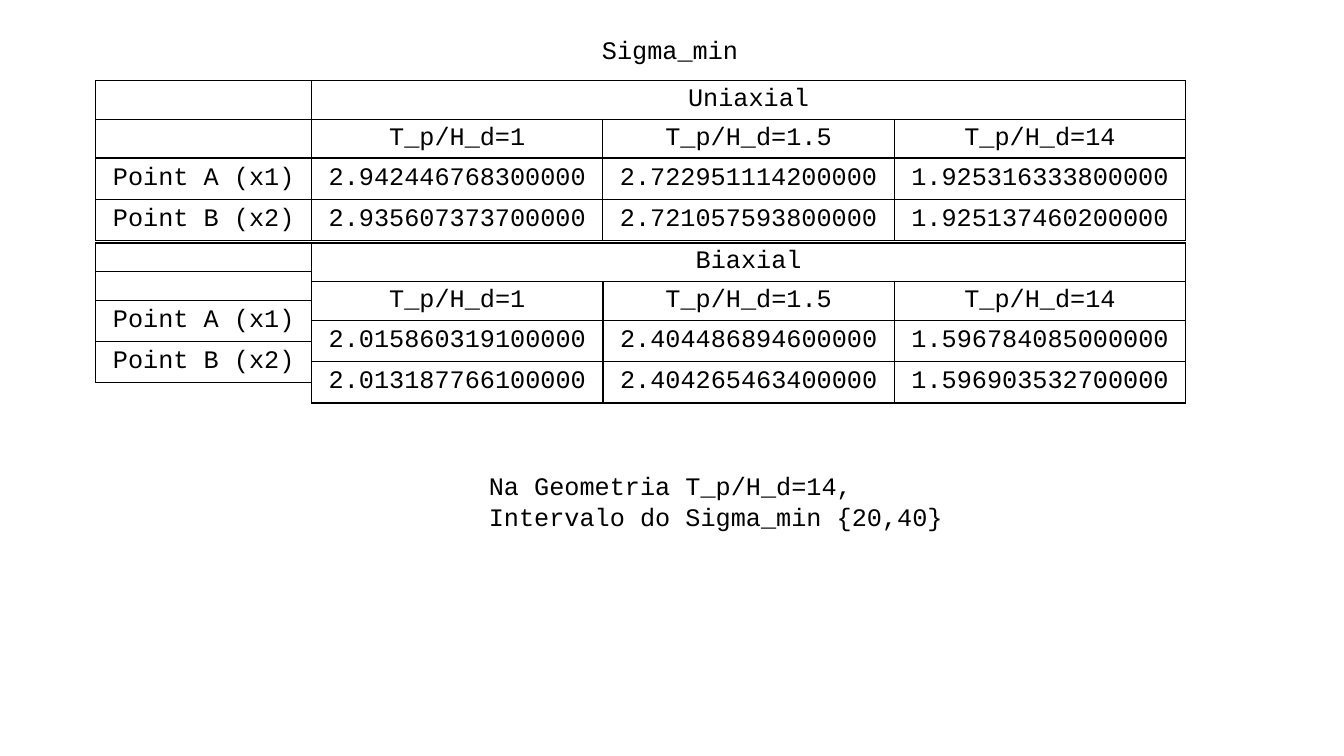
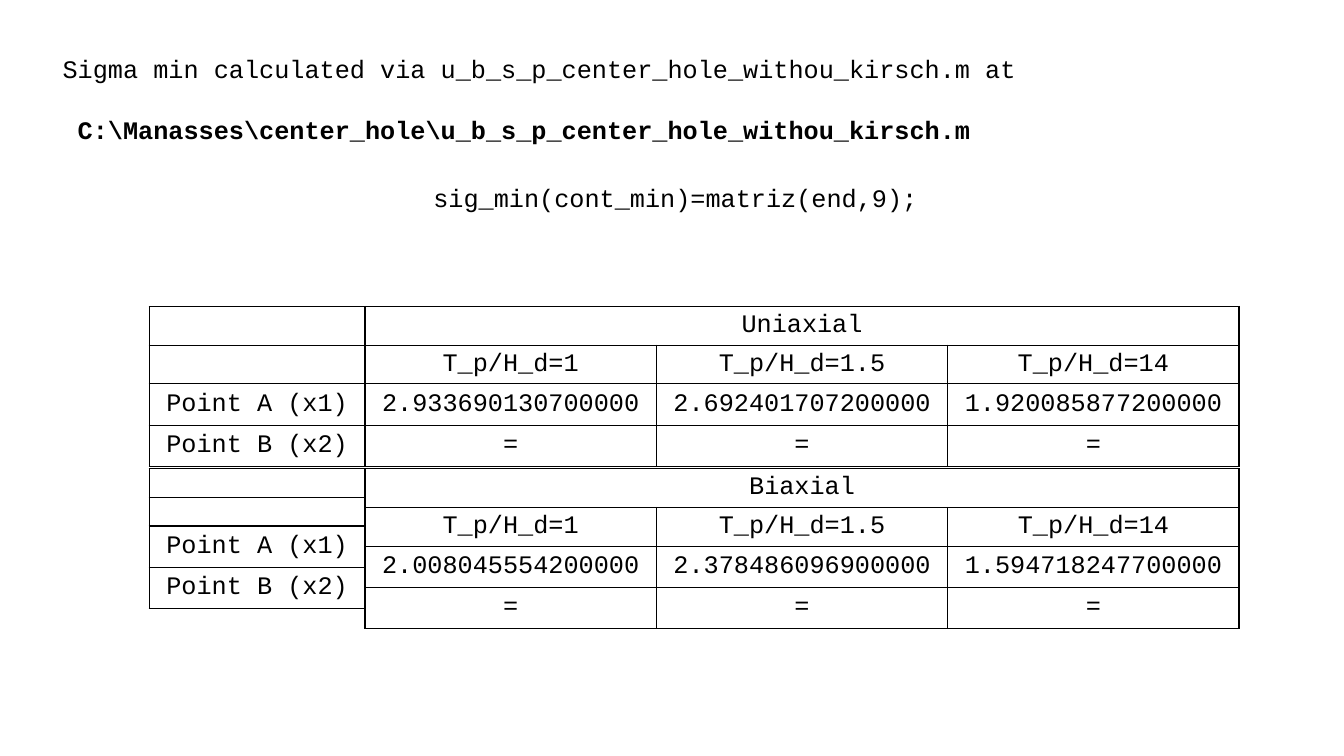
from lxml import etree
from pptx import Presentation
from pptx.dml.color import RGBColor
from pptx.enum.text import MSO_ANCHOR, MSO_AUTO_SIZE, PP_ALIGN
from pptx.oxml.ns import qn
from pptx.util import Inches, Pt

LEFT, CENTER = PP_ALIGN.LEFT, PP_ALIGN.CENTER
TOP, MIDDLE = MSO_ANCHOR.TOP, MSO_ANCHOR.MIDDLE
NO_AUTOFIT = MSO_AUTO_SIZE.NONE

COLORS = {"text": "000000", "border": "000000"}
FONT = "Courier New"
TEXT_SIZE = Pt(18)
BORDER_WIDTH = Pt(1)
TITLE_ONLY_LAYOUT = 5

LABEL_WIDTH = 2.14
VALUE_WIDTH = 2.89
ROW_HEIGHTS = (0.2, 0.2, 0.41, 0.41)
TABLE_HEIGHT = 1.61
RATIOS = ("T_p/H_d=1", "T_p/H_d=1.5", "T_p/H_d=14")
LABEL_ROWS = [("",), ("",), ("Point A (x1)",), ("Point B (x2)",)]


def style_paragraph(paragraph, align=LEFT):
    paragraph.alignment = align
    font = paragraph.font
    font.name, font.size, font.bold = FONT, TEXT_SIZE, False
    font.color.rgb = RGBColor.from_string(COLORS["text"])


def fill_text(shape, text):
    frame = shape.text_frame
    frame.text = text
    frame.word_wrap = True
    frame.auto_size = NO_AUTOFIT
    frame.vertical_anchor = TOP
    for paragraph in frame.paragraphs:
        style_paragraph(paragraph)


def add_title(slide, box, text):
    title = slide.shapes.title
    title.left, title.top, title.width, title.height = map(Inches, box)
    fill_text(title, text)
    return title


def add_text(slide, box, text):
    fill_text(slide.shapes.add_textbox(*map(Inches, box)), text)


def add_borders(cell):
    properties = cell._tc.get_or_add_tcPr()
    for position, side in enumerate(("a:lnL", "a:lnR", "a:lnT", "a:lnB")):
        line = etree.Element(qn(side), w=str(BORDER_WIDTH))
        solid = etree.SubElement(line, qn("a:solidFill"))
        etree.SubElement(solid, qn("a:srgbClr"), val=COLORS["border"])
        properties.insert(position, line)


def format_cell(cell, text):
    cell.text = text
    cell.vertical_anchor = MIDDLE
    cell.fill.background()
    style_paragraph(cell.text_frame.paragraphs[0], CENTER)
    if not text:
        # Keeps blank cells from stretching the low header rows
        cell.margin_top = cell.margin_bottom = 0
    add_borders(cell)


def add_grid(slide, left, top, widths, rows):
    graphic = slide.shapes.add_table(
        len(rows), len(widths), Inches(left), Inches(top),
        Inches(sum(widths)), Inches(TABLE_HEIGHT))
    table = graphic.table
    table.first_row = table.horz_banding = False
    for column, width in zip(table.columns, widths):
        column.width = Inches(width)
    for row, height, texts in zip(table.rows, ROW_HEIGHTS, rows):
        row.height = Inches(height)
        for cell, text in zip(row.cells, texts):
            format_cell(cell, text)
    graphic.height = Inches(TABLE_HEIGHT)
    return table


def merge_load_header(table, first_column):
    table.cell(0, first_column).merge(table.cell(0, len(table.columns) - 1))


def add_load_tables(slide, left, top, uniaxial, biaxial):
    """Uniaxial table, with the biaxial values and their labels below it."""
    value_widths = (VALUE_WIDTH,) * len(RATIOS)
    uniaxial_rows, biaxial_rows = (
        [(load, "", ""), RATIOS, *values]
        for load, values in (("Uniaxial", uniaxial), ("Biaxial", biaxial)))
    labelled_rows = [label + row for label, row in zip(LABEL_ROWS, uniaxial_rows)]
    lower_top = top + TABLE_HEIGHT

    merge_load_header(
        add_grid(slide, left, top, (LABEL_WIDTH, *value_widths), labelled_rows), 1)
    merge_load_header(
        add_grid(slide, left + LABEL_WIDTH, lower_top, value_widths, biaxial_rows), 0)
    add_grid(slide, left, lower_top, (LABEL_WIDTH,), LABEL_ROWS)


def build_interval_slide(slide):
    add_load_tables(
        slide, 0.95, 0.8,
        uniaxial=(
            ("2.942446768300000", "2.722951114200000", "1.925316333800000"),
            ("2.935607373700000", "2.721057593800000", "1.925137460200000")),
        biaxial=(
            ("2.015860319100000", "2.404486894600000", "1.596784085000000"),
            ("2.013187766100000", "2.404265463400000", "1.596903532700000")))
    add_text(slide, (4.75, 4.62, 5.15, 1.01),
             "Na Geometria T_p/H_d=14,\nIntervalo do Sigma_min {20,40}")
    add_title(slide, (5.87, 0.29, 1.56, 0.4), "Sigma_min")


def build_calculation_slide(slide):
    same_as_point_a = ("=",) * len(RATIOS)
    add_load_tables(
        slide, 1.48, 3.04,
        uniaxial=(
            ("2.933690130700000", "2.692401707200000", "1.920085877200000"),
            same_as_point_a),
        biaxial=(
            ("2.008045554200000", "2.378486096900000", "1.594718247700000"),
            same_as_point_a))
    title = add_title(
        slide, (0.52, 0.48, 12.37, 1.01),
        "Sigma min calculated via u_b_s_p_center_hole_withou_kirsch.m at\n"
        r"C:\Manasses\center_hole\u_b_s_p_center_hole_withou_kirsch.m")
    script_location = title.text_frame.paragraphs[1]
    script_location.font.bold = True
    script_location.space_before = Pt(22)
    script_location._p.get_or_add_pPr().set("marL", str(Inches(0.15)))
    add_text(slide, (4.2, 1.76, 5.03, 0.4), "sig_min(cont_min)=matriz(end,9);")


def main():
    presentation = Presentation()
    presentation.slide_width = Inches(13.33)
    presentation.slide_height = Inches(7.5)
    layout = presentation.slide_layouts[TITLE_ONLY_LAYOUT]
    for build in (build_interval_slide, build_calculation_slide):
        build(presentation.slides.add_slide(layout))
    presentation.save("out.pptx")


if __name__ == "__main__":
    main()
